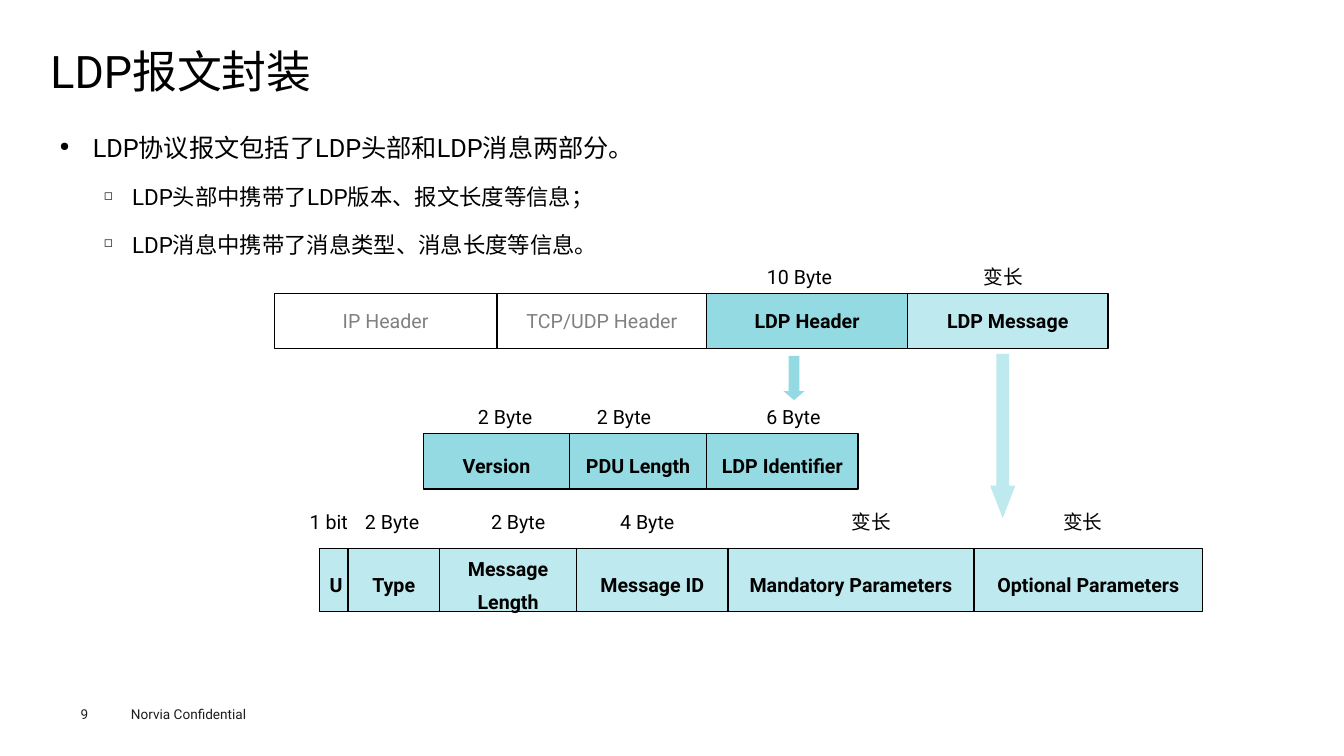
from itertools import pairwise

from lxml import etree
from pptx import Presentation
from pptx.dml.color import RGBColor
from pptx.enum.shapes import MSO_SHAPE
from pptx.enum.text import MSO_ANCHOR, PP_ALIGN
from pptx.oxml.ns import qn
from pptx.util import Inches, Pt

RECTANGLE, DOWN_ARROW = MSO_SHAPE.RECTANGLE, MSO_SHAPE.DOWN_ARROW
TOP, MIDDLE = MSO_ANCHOR.TOP, MSO_ANCHOR.MIDDLE
LEFT, CENTER, JUSTIFY = PP_ALIGN.LEFT, PP_ALIGN.CENTER, PP_ALIGN.JUSTIFY
BLACK, GRAY, FOOTER_INK = "000000", "808080", "1D1D1B"
HEADER_TEAL, MESSAGE_TEAL = "94DAE2", "BEE9EE"


def rgb(value):
    return RGBColor.from_string(value)


def write(frame, text, size, color=BLACK, bold=False, align=LEFT, spacing=1.0,
          anchor=TOP, insets=(0.1, 0.05), wrap=True):
    frame.word_wrap = wrap
    frame.vertical_anchor = anchor
    frame.margin_left = frame.margin_right = Inches(insets[0])
    frame.margin_top = frame.margin_bottom = Inches(insets[1])
    paragraph = frame.paragraphs[0]
    paragraph.alignment = align
    paragraph.line_spacing = spacing
    run = paragraph.add_run()
    run.text = text
    run.font.name = "Roboto"
    run.font.size = Pt(size)
    run.font.bold = bold
    run.font.color.rgb = rgb(color)


prs = Presentation()
prs.slide_width, prs.slide_height = Inches(13.33), Inches(7.5)
slide = prs.slides.add_slide(prs.slide_layouts[6])
shapes = slide.shapes

# Footer and title
footer = shapes.add_textbox(Inches(1.2), Inches(6.95), Inches(1.6), Inches(0.27))
write(footer.text_frame, "Norvia Confidential", 9.7, FOOTER_INK)
page_number = shapes.add_textbox(Inches(0.8), Inches(7), Inches(0.55), Inches(0.16))
write(page_number.text_frame, "9", 9.7, FOOTER_INK, insets=(0, 0))
title = shapes.add_textbox(Inches(0.5), Inches(0.49), Inches(12.35), Inches(0.53))
write(title.text_frame, "LDP报文封装", 32, spacing=0.9, insets=(0, 0))

# Bullets: text, level, size, space before, margin, hanging indent, mark
bullets = [
    ("LDP协议报文包括了LDP头部和LDP消息两部分。", 0, 18, 0, 0.33, 0.33, "●"),
    ("LDP头部中携带了LDP版本、报文长度等信息；", 1, 16, 7.2, 0.72, 0.28, "◻"),
    ("LDP消息中携带了消息类型、消息长度等信息。", 1, 16, 7.2, 0.72, 0.28, "◻"),
]
body = shapes.add_textbox(Inches(0.5), Inches(1.15), Inches(12.35), Inches(5.34)).text_frame
body.word_wrap = True
body.margin_left = body.margin_right = Inches(0.09)
body.margin_top = body.margin_bottom = Inches(0.04)
for index, (text, level, size, before, margin, hanging, mark) in enumerate(bullets):
    paragraph = body.add_paragraph() if index else body.paragraphs[0]
    properties = paragraph._p.get_or_add_pPr()
    properties.set("marL", str(Inches(margin)))
    properties.set("indent", str(-Inches(hanging)))
    etree.SubElement(properties, qn("a:buSzPct"), val="50000")
    etree.SubElement(properties, qn("a:buChar"), char=mark)
    paragraph.level = level
    paragraph.alignment = JUSTIFY
    paragraph.line_spacing = 1.4
    paragraph.space_before = Pt(before)
    run = paragraph.add_run()
    run.text = text
    run.font.name = "Roboto"
    run.font.size = Pt(size)
    run.font.color.rgb = rgb(BLACK)

# Arrows from the packet down to its expanded parts
arrows = [
    (9.82, 3.51, 0.25, 1.63, 1.288, MESSAGE_TEAL),
    (7.77, 3.53, 0.21, 0.44, 0.429, HEADER_TEAL),
]
for left, top, width, height, head, color in arrows:
    arrow = shapes.add_shape(DOWN_ARROW, Inches(left), Inches(top), Inches(width), Inches(height))
    arrow.adjustments[0], arrow.adjustments[1] = 0.5, head
    arrow.shadow.inherit = False
    arrow.fill.solid()
    arrow.fill.fore_color.rgb = rgb(color)
    arrow.line.fill.background()

# Packet rows: top, height, line spacing, field edges, fields (name, fill)
rows = [
    (2.91, 0.55, 1.0, [2.72, 4.93, 7.01, 9, 10.99],
     [("IP Header", None), ("TCP/UDP Header", None),
      ("LDP Header", HEADER_TEAL), ("LDP Message", MESSAGE_TEAL)]),
    (4.3, 0.55, 1.4, [4.2, 5.65, 7.01, 8.51],
     [(name, HEADER_TEAL) for name in ("Version", "PDU Length", "LDP Identifier")]),
    (5.44, 0.63, 1.4, [3.17, 3.45, 4.36, 5.72, 7.22, 9.66, 11.93],
     [(name, MESSAGE_TEAL) for name in (
         "U", "Type", "Message Length", "Message ID",
         "Mandatory Parameters", "Optional Parameters")]),
]
for top, height, spacing, edges, fields in rows:
    for (left, right), (name, color) in zip(pairwise(edges), fields):
        field = shapes.add_shape(RECTANGLE, Inches(left), Inches(top),
                                 Inches(right - left), Inches(height))
        field.shadow.inherit = False
        field.line.color.rgb = rgb(BLACK)
        field.line.width = Pt(1)
        if color:
            field.fill.solid()
            field.fill.fore_color.rgb = rgb(color)
        else:
            field.fill.background()
        write(field.text_frame, name, 14, BLACK if color else GRAY, bold=bool(color),
              align=CENTER, spacing=spacing, anchor=MIDDLE)

# Field lengths above each row: top, then (centre, length)
length_rows = [
    (2.61, [(7.93, "10 Byte"), (9.95, "变长")]),
    (4, [(5.01, "2 Byte"), (6.19, "2 Byte"), (7.87, "6 Byte")]),
    (5.04, [(3.26, "1 bit"), (3.89, "2 Byte"), (5.14, "2 Byte"),
            (6.42, "4 Byte"), (8.64, "变长"), (10.74, "变长")]),
]
label_widths = {"10 Byte": 0.88, "变长": 0.57, "1 bit": 0.59}
for top, lengths in length_rows:
    for centre, length in lengths:
        width = label_widths.get(length, 0.76)
        label = shapes.add_textbox(Inches(centre - width / 2), Inches(top),
                                   Inches(width), Inches(0.3))
        write(label.text_frame, length, 14, align=CENTER, spacing=0.9,
              anchor=MIDDLE, insets=(0.09, 0.04), wrap=False)

prs.save("out.pptx")
